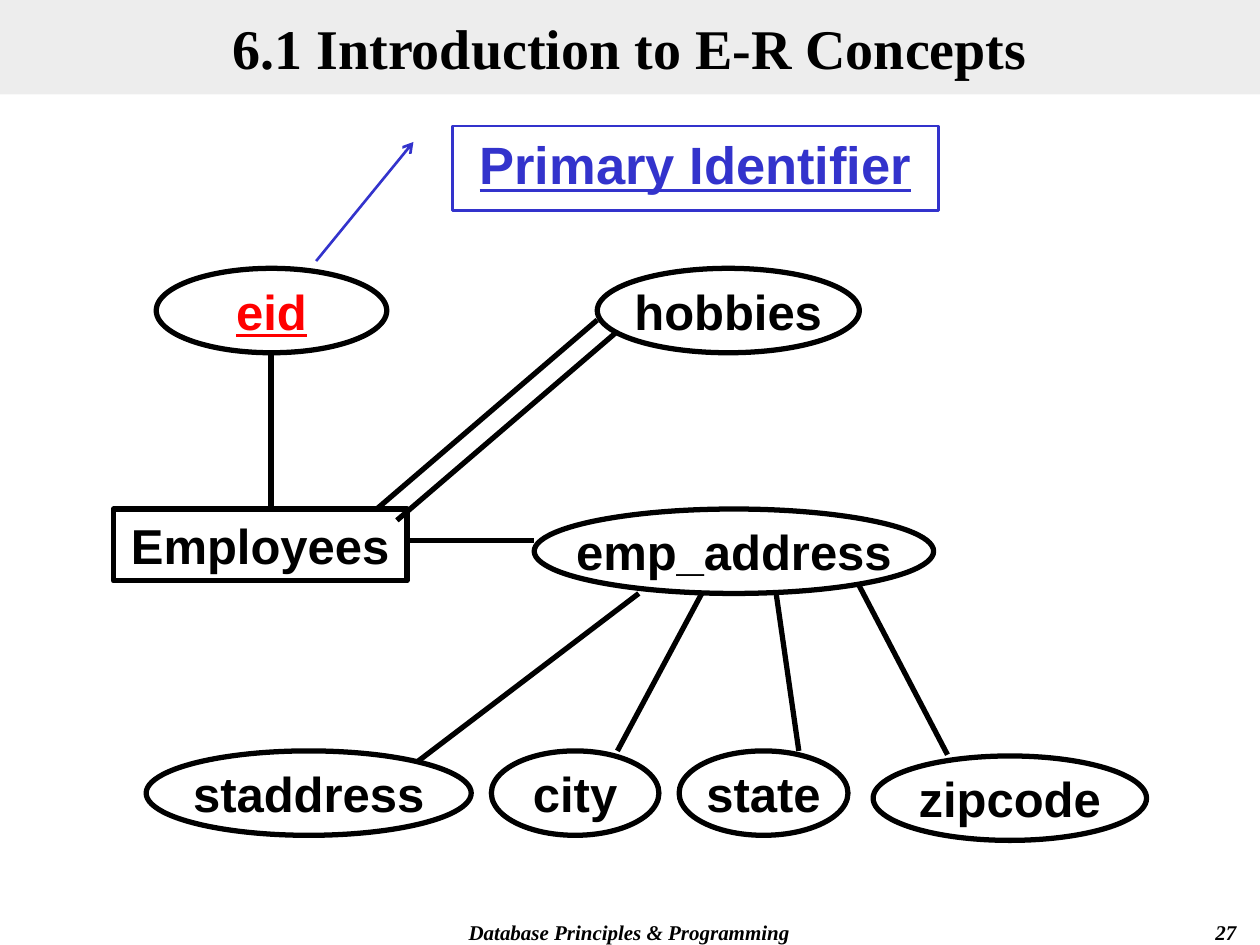
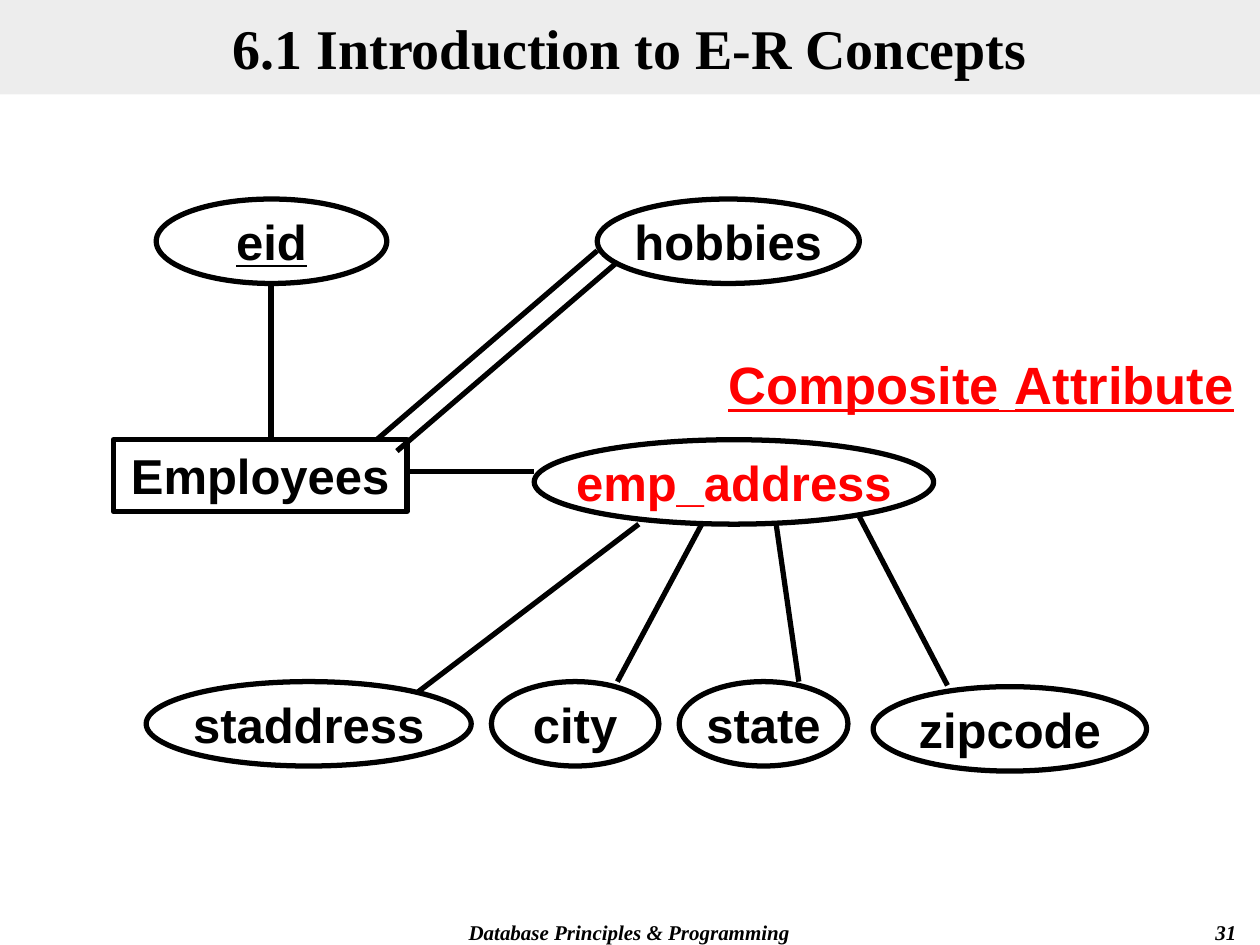
from lxml import etree
from pptx import Presentation
from pptx.dml.color import RGBColor
from pptx.enum.shapes import MSO_CONNECTOR, MSO_SHAPE as SHAPE
from pptx.enum.text import MSO_ANCHOR as ANCHOR, MSO_AUTO_SIZE as FIT, PP_ALIGN as ALIGN
from pptx.oxml.ns import qn
from pptx.util import Inches, Pt

BLACK = RGBColor(0x00, 0x00, 0x00)
RED = RGBColor(0xFF, 0x00, 0x00)
BLUE = RGBColor(0x33, 0x33, 0xCC)
GREY = RGBColor(0xDD, 0xDD, 0xDD)
SERIF, SANS = "Times New Roman", "Arial"
OVAL_HEIGHT = 0.67

OVALS = [
    ("eid", 1.24, 2.13, 1.83),
    ("emp_address", 4.24, 4.04, 3.17),
    ("hobbies", 4.74, 2.13, 2.08),
    ("staddress", 1.16, 5.96, 2.58),
    ("city", 3.9, 5.96, 1.33),
    ("state", 5.39, 5.96, 1.34),
    ("zipcode", 6.93, 6, 2.17),
]
LINKS = [
    (2.15, 2.79, 2.15, 4.04),
    (4.24, 4.29, 3.24, 4.29),
    (4.74, 2.54, 2.99, 4.04),
    (4.9, 2.63, 3.15, 4.13),
    (5.07, 4.71, 3.32, 6.04),
    (5.57, 4.71, 4.9, 5.96),
    (6.16, 4.71, 6.34, 5.96),
    (6.82, 4.65, 7.52, 5.99),
]


def add_span(para, text, size=28, name=SANS, color=BLACK, bold=True, italic=False, underline=False):
    """Append formatted text to a paragraph."""
    span = para.add_run()
    span.text = text
    font = span.font
    font.size, font.name, font.color.rgb = Pt(size), name, color
    font.bold, font.italic, font.underline = bold, italic, underline


class LectureDeck:
    """Hold the lecture style and the current slide."""

    def __init__(self):
        """Start an empty 4:3 deck."""
        self.deck = Presentation()
        self.deck.slide_width, self.deck.slide_height = Inches(10), Inches(7.5)

    def start_page(self, title, number):
        """Add a slide with footer, page number and title band."""
        self.page = self.deck.slides.add_slide(self.deck.slide_layouts[6])
        footer = dict(size=12, name=SERIF, italic=True)
        self.text_box(2.83, 7.25, 4.33, 0.25, [("Database Principles & Programming", footer)])
        self.text_box(7.83, 7.25, 2.08, 0.25, [(str(number), footer)], ALIGN.RIGHT)
        band, para = self.shape(self.page.shapes, SHAPE.RECTANGLE, 0, 0, 10, 0.75)
        band.fill.solid()
        band.fill.fore_color.rgb = GREY
        tint = band.fill._xPr.find(".//" + qn("a:srgbClr"))
        etree.SubElement(tint, qn("a:alpha"), val="50000")
        add_span(para, title, size=32, name=SERIF)

    def text_box(self, left, top, width, height, spans, align=ALIGN.CENTER):
        """Add a one-paragraph text box made of (text, format) spans."""
        box = self.page.shapes.add_textbox(Inches(left), Inches(top), Inches(width), Inches(height))
        box.text_frame.word_wrap = True
        para = box.text_frame.paragraphs[0]
        para.alignment = align
        for text, style in spans:
            add_span(para, text, **style)

    def shape(self, shapes, kind, left, top, width, height, line=None, weight=3, anchor=ANCHOR.MIDDLE):
        """Add an unfilled shape and return it with its centred paragraph."""
        shape = shapes.add_shape(kind, Inches(left), Inches(top), Inches(width), Inches(height))
        shape.shadow.inherit = False
        shape.fill.background()
        if line is None:
            shape.line.fill.background()
        else:
            shape.line.color.rgb, shape.line.width = line, Pt(weight)
        frame = shape.text_frame
        frame.word_wrap, frame.vertical_anchor = True, anchor
        frame.paragraphs[0].alignment = ALIGN.CENTER
        return shape, frame.paragraphs[0]

    def link(self, shapes, x1, y1, x2, y2):
        """Draw a plain black diagram line."""
        line = shapes.add_connector(MSO_CONNECTOR.STRAIGHT, Inches(x1), Inches(y1), Inches(x2), Inches(y2))
        line.line.color.rgb, line.line.width = BLACK, Pt(3)
        etree.SubElement(line._element.spPr, qn("a:effectLst"))

    def diagram(self, highlight, lift=0):
        """Draw the Employees diagram, raised by lift, with one red attribute."""
        shapes = self.page.shapes.add_group_shape().shapes
        entity, para = self.shape(shapes, SHAPE.RECTANGLE, 0.9, 4.04 - lift, 2.33, 0.57,
                                  BLACK, anchor=ANCHOR.TOP)
        entity.text_frame.auto_size = FIT.SHAPE_TO_FIT_TEXT
        add_span(para, "Employees")
        for name, left, top, width in OVALS:
            oval, para = self.shape(shapes, SHAPE.OVAL, left, top - lift, width, OVAL_HEIGHT, BLACK)
            oval.text_frame.word_wrap = False
            add_span(para, name, color=RED if name == highlight else BLACK, underline=name == "eid")
        for x1, y1, x2, y2 in LINKS:
            self.link(shapes, x1, y1 - lift, x2, y2 - lift)

    def callout(self, text, left, top, width, height, pointer):
        """Add a blue bordered callout whose pointer starts with an arrowhead."""
        callout, para = self.shape(self.page.shapes, SHAPE.LINE_CALLOUT_1, left, top, width, height,
                                   BLUE, 1.5, ANCHOR.TOP)
        for index, value in enumerate(pointer):
            callout.adjustments[index] = value
        etree.SubElement(callout.line._get_or_add_ln(), qn("a:headEnd"), type="arrow")
        add_span(para, text, size=30, color=BLUE, underline=True)


def main():
    """Build both slides and save the deck."""
    lecture = LectureDeck()
    title = "6.1 Introduction to E-R Concepts"

    lecture.start_page(title, 27)
    lecture.diagram("eid")
    lecture.callout("Primary Identifier", 3.59, 1, 3.86, 0.67, (0.19, -0.08, 1.6, -0.28))

    lecture.start_page(title, 31)
    lecture.diagram("emp_address", lift=0.55)
    label = dict(size=30, color=RED, underline=True)
    gap = dict(label, size=32, bold=False)
    lecture.text_box(5.57, 2.72, 4.43, 0.64, [("Composite", label), (" ", gap), ("Attribute", label)])

    lecture.deck.save("out.pptx")


if __name__ == "__main__":
    main()
